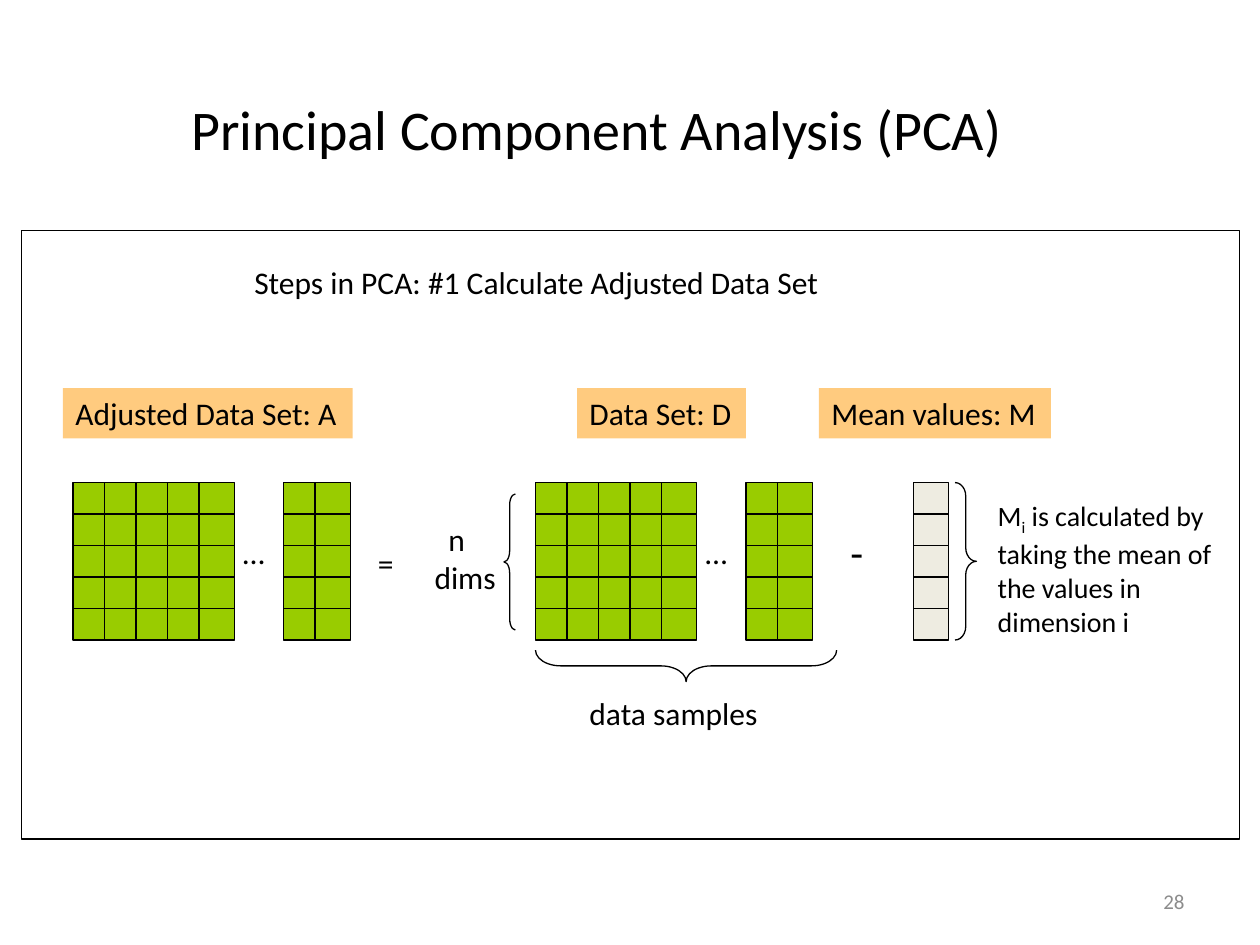
"""Build the slide on step 1 of PCA: calculating the adjusted data set."""
from lxml import etree
from pptx import Presentation
from pptx.dml.color import RGBColor
from pptx.enum.shapes import MSO_SHAPE
from pptx.enum.text import MSO_ANCHOR, MSO_AUTO_SIZE, PP_ALIGN
from pptx.oxml.ns import qn
from pptx.util import Inches, Pt

RECT = MSO_SHAPE.RECTANGLE
LEFT_BRACE, RIGHT_BRACE = MSO_SHAPE.LEFT_BRACE, MSO_SHAPE.RIGHT_BRACE
LEFT, RIGHT = PP_ALIGN.LEFT, PP_ALIGN.RIGHT
TOP, MIDDLE = MSO_ANCHOR.TOP, MSO_ANCHOR.MIDDLE
FIT, FIXED = MSO_AUTO_SIZE.SHAPE_TO_FIT_TEXT, MSO_AUTO_SIZE.NONE

BLACK = RGBColor(0x00, 0x00, 0x00)
WHITE = RGBColor(0xFF, 0xFF, 0xFF)
GREEN = RGBColor(0x99, 0xCC, 0x00)
CREAM = RGBColor(0xEE, 0xEC, 0xE1)
ORANGE = RGBColor(0xFF, 0x99, 0x00)
GRAY = RGBColor(0x8C, 0x8C, 0x8C)

FONT = "Calibri"
ROWS = 5
PITCH = 0.25
CELL_W = 0.28
GRID_TOP = 3.83
LABEL_TOP = 3.08


def add_shape(slide, kind, box, fill=None, opacity=100, line=BLACK):
    s = slide.shapes.add_shape(kind, *map(Inches, box))
    s.shadow.inherit = False
    if fill is None:
        s.fill.background()
    else:
        s.fill.solid()
        s.fill.fore_color.rgb = fill
        if opacity < 100:
            color = s.fill._xPr.find(".//" + qn("a:srgbClr"))
            etree.SubElement(color, qn("a:alpha"), val=str(opacity * 1000))
    if line is None:
        s.line.fill.background()
    else:
        s.line.color.rgb = line
        s.line.width = Pt(0.75)
    return s


def add_run(p, text, size, color=BLACK, baseline=0):
    r = p.add_run()
    r.text = text
    r.font.name = FONT
    r.font.size = Pt(size)
    r.font.color.rgb = color
    if baseline:
        r.font._element.set("baseline", str(baseline * 1000))


def set_frame(s, wrap=False, fit=FIT, anchor=TOP):
    tf = s.text_frame
    tf.word_wrap = wrap
    tf.auto_size = fit
    tf.vertical_anchor = anchor
    tf.paragraphs[0].alignment = LEFT
    return tf


def add_text(slide, box, text, size=18):
    tf = set_frame(slide.shapes.add_textbox(*map(Inches, box)))
    add_run(tf.paragraphs[0], text, size)


def add_label(slide, left, width, text):
    box = (left, LABEL_TOP, width, 0.4)
    tf = set_frame(add_shape(slide, RECT, box, ORANGE, 50, None))
    add_run(tf.paragraphs[0], text, 18)


def add_grid(slide, left, cols, fill=GREEN):
    for col in range(cols):
        for row in range(ROWS):
            box = (left + col * PITCH, GRID_TOP + row * PITCH, CELL_W, PITCH)
            add_shape(slide, RECT, box, fill)


def add_matrix(slide, left):
    add_grid(slide, left, 5)
    add_grid(slide, left + 1.67, 2)
    add_text(slide, (left + 1.25, 4.18, 0.38, 0.4), "…")


def add_brace(slide, kind, box, curve, rotation=0):
    s = add_shape(slide, kind, box)
    s.adjustments[0] = curve
    s.rotation = rotation


def add_dimension_label(slide):
    box = slide.shapes.add_textbox(*map(Inches, (3.35, 4.08, 0.69, 0.71)))
    tf = set_frame(box)
    p = tf.paragraphs[0]
    p._p.get_or_add_pPr().set("marL", str(Inches(0.11)))
    add_run(p, "n", 18)
    add_run(tf.add_paragraph(), "dims", 18)


def add_mean_note(slide):
    box = slide.shapes.add_textbox(*map(Inches, (7.82, 3.91, 2.02, 1.17)))
    p = set_frame(box, wrap=True).paragraphs[0]
    add_run(p, "M", 16)
    add_run(p, "i", 16, baseline=-25)
    add_run(p, " is calculated by taking the mean of the values in dimension i", 16)


def add_page_number(slide):
    box = slide.shapes.add_textbox(*map(Inches, (7.17, 6.95, 2.33, 0.4)))
    p = set_frame(box, True, FIXED, MIDDLE).paragraphs[0]
    p.alignment = RIGHT
    add_run(p, "28", 12, GRAY)


def main():
    prs = Presentation()
    prs.slide_width, prs.slide_height = Inches(10), Inches(7.5)
    slide = prs.slides.add_slide(prs.slide_layouts[6])

    add_shape(slide, RECT, (0.17, 1.83, 9.67, 4.83), WHITE, 70)
    add_text(slide, (1.42, 0.7, 6.71, 0.64), "Principal Component Analysis (PCA)", 32)
    add_text(slide, (1.92, 2.04, 4.73, 0.4),
             "Steps in PCA: #1 Calculate Adjusted Data Set")

    add_matrix(slide, 4.25)
    add_brace(slide, RIGHT_BRACE, (5.32, 4.09, 0.25, 2.39), 0.8, 90)
    add_brace(slide, LEFT_BRACE, (4, 3.92, 0.09, 1.08), 0.98)
    add_dimension_label(slide)
    add_text(slide, (4.58, 5.46, 1.55, 0.4), "data samples")
    add_label(slide, 4.58, 1.34, "Data Set: D")

    add_grid(slide, 7.25, 1, CREAM)
    add_label(slide, 6.5, 1.84, "Mean values: M")
    add_text(slide, (6.65, 4.13, 0.31, 0.5), "-", 24)

    add_matrix(slide, 0.58)
    add_label(slide, 0.5, 2.3, "Adjusted Data Set: A")
    add_text(slide, (2.9, 4.27, 0.33, 0.4), "=")

    add_brace(slide, RIGHT_BRACE, (7.58, 3.83, 0.17, 1.25), 0.63)
    add_mean_note(slide)
    add_page_number(slide)
    prs.save("out.pptx")


if __name__ == "__main__":
    main()
